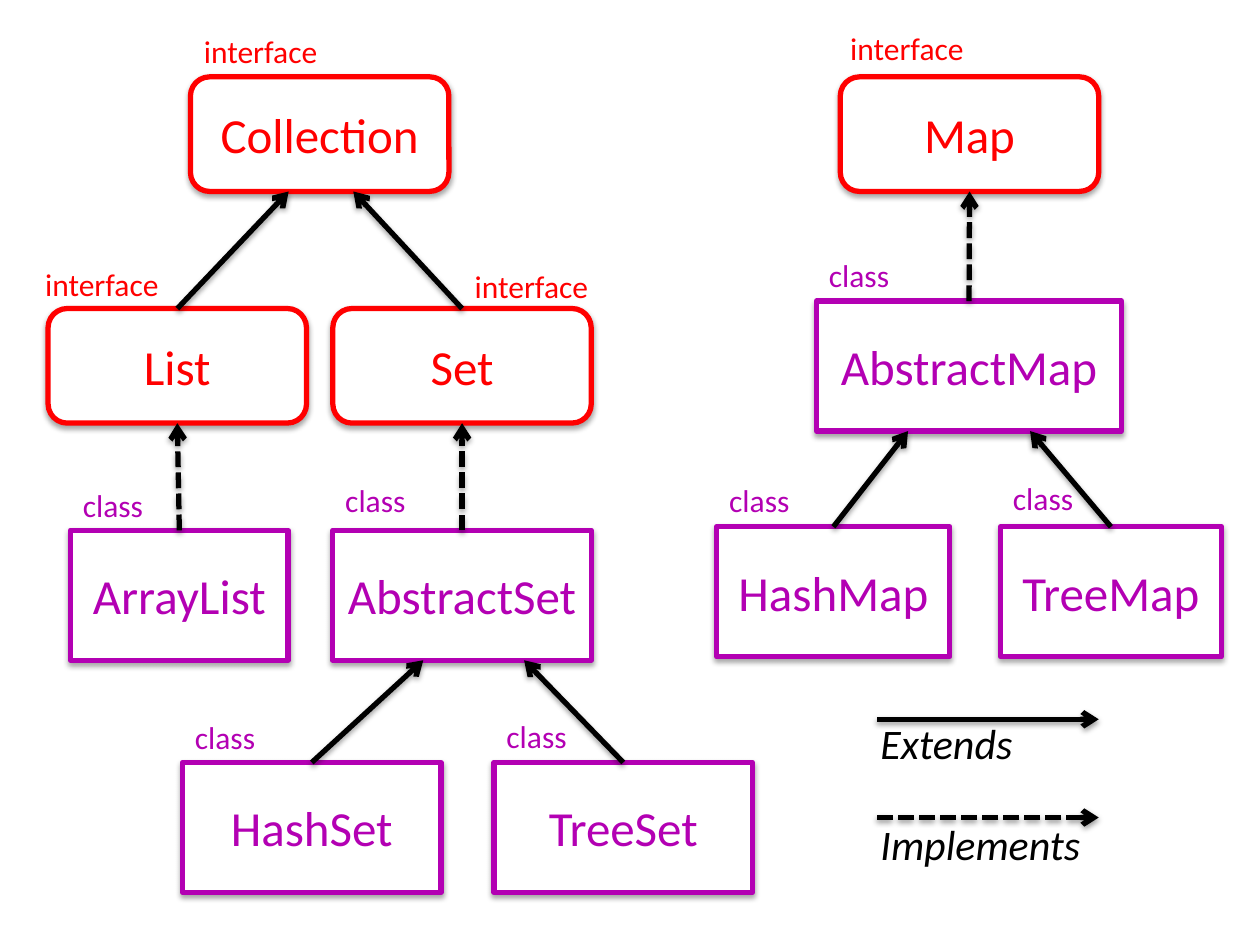
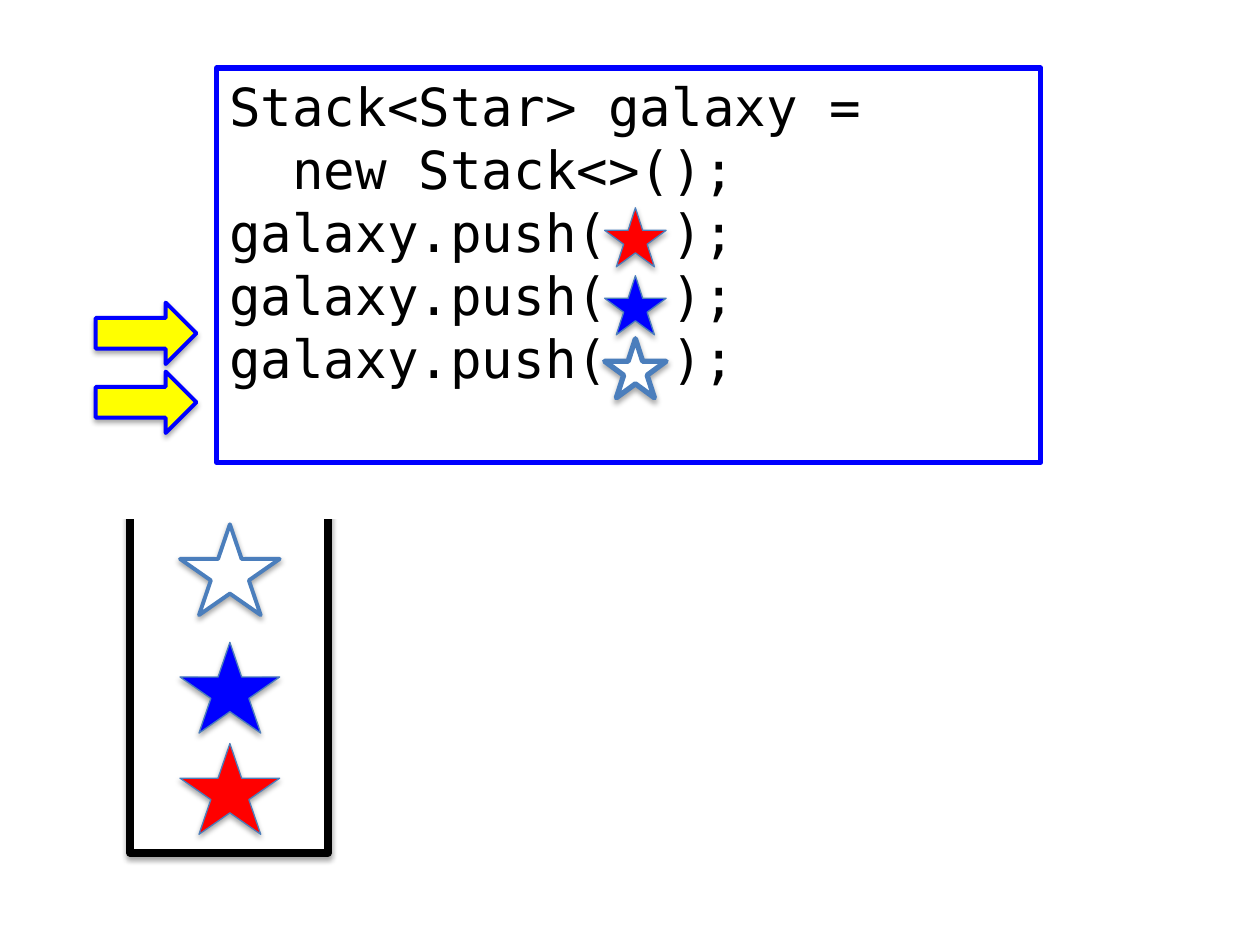
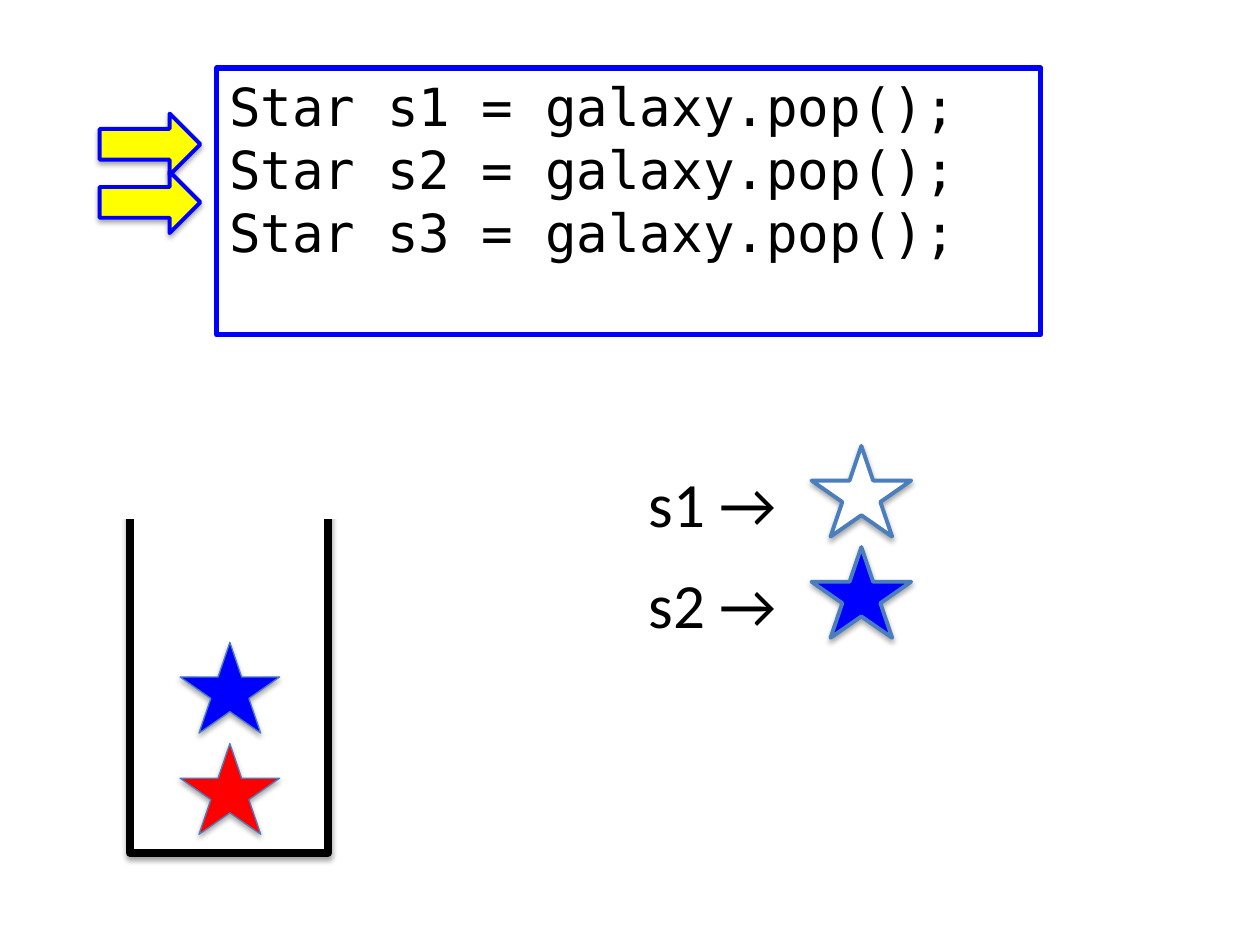
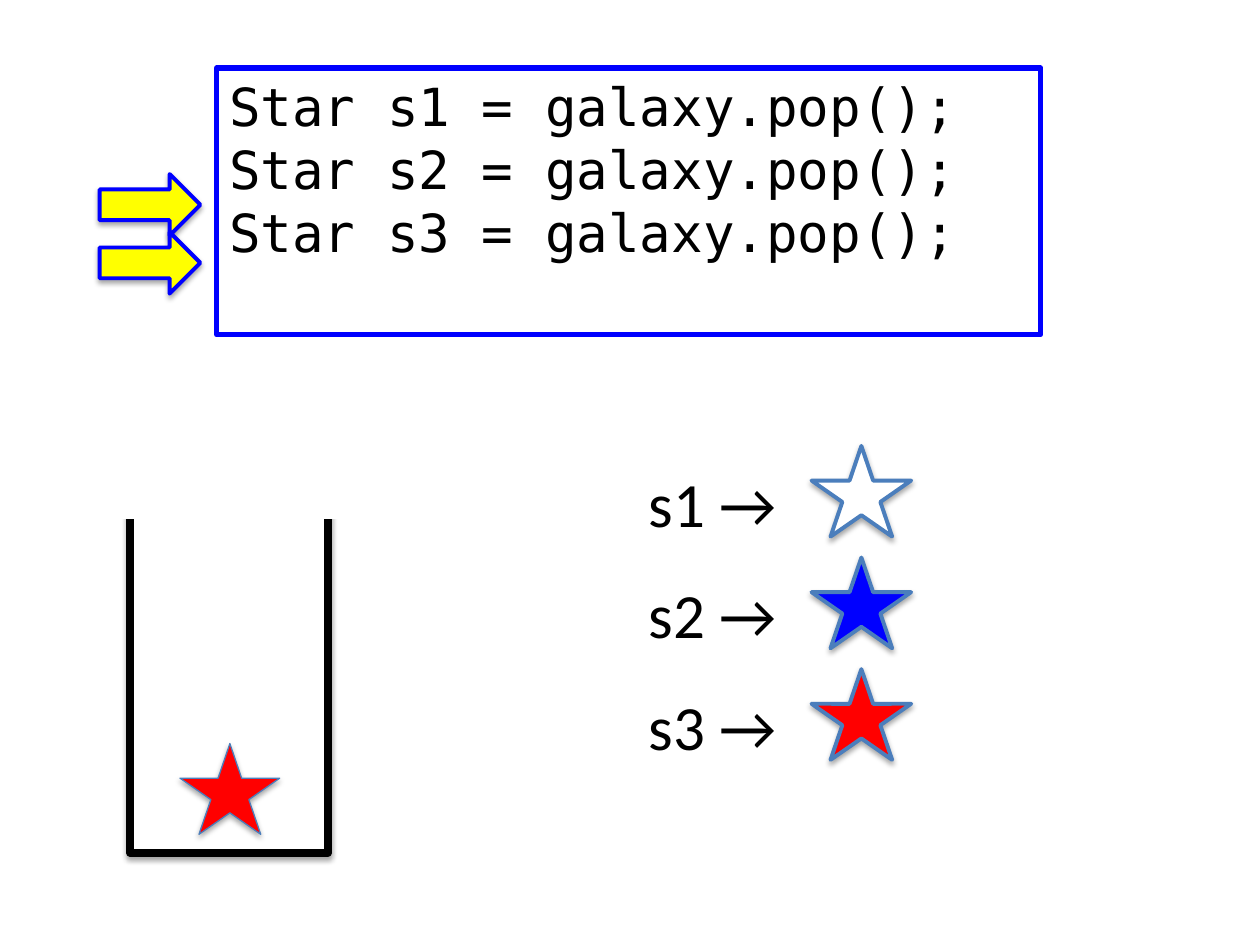
from dataclasses import dataclass

from lxml import etree
from pptx import Presentation
from pptx.dml.color import RGBColor
from pptx.enum.dml import MSO_LINE
from pptx.enum.shapes import MSO_CONNECTOR, MSO_SHAPE
from pptx.enum.text import MSO_ANCHOR, MSO_AUTO_SIZE, PP_ALIGN
from pptx.oxml.ns import qn
from pptx.util import Cm, Pt

# Shared look
COLOURS = {
    "white": "FFFFFF",
    "black": "000000",
    "red": "FF0000",
    "blue": "0000FF",
    "yellow": "FFFF00",
    "purple": "B300B3",
    "star edge": "4B7EBC",
}
BODY_FONT, CODE_FONT = "Calibri", "DejaVu Sans Mono"
RECTANGLE, ROUNDED = MSO_SHAPE.RECTANGLE, MSO_SHAPE.ROUNDED_RECTANGLE
STAR, ARROW = MSO_SHAPE.STAR_5_POINT, MSO_SHAPE.RIGHT_ARROW
STRAIGHT, DASHED = MSO_CONNECTOR.STRAIGHT, MSO_LINE.SQUARE_DOT
LEFT, CENTRE = PP_ALIGN.LEFT, PP_ALIGN.CENTER
TOP, MIDDLE = MSO_ANCHOR.TOP, MSO_ANCHOR.MIDDLE
FIXED, GROW = MSO_AUTO_SIZE.NONE, MSO_AUTO_SIZE.SHAPE_TO_FIT_TEXT


@dataclass(frozen=True)
class Frame:
    """Place and size in centimetres."""
    left: float
    top: float
    width: float
    height: float

    def lengths(self) -> tuple:
        return Cm(self.left), Cm(self.top), Cm(self.width), Cm(self.height)


@dataclass(frozen=True)
class TypeNode:
    """A Java type; its kind label stands above the box."""
    name: str
    kind: str
    left: float
    top: float
    label_top: float
    width: float = 5.21
    label_shift: float = 0

    @property
    def frame(self) -> Frame:
        return Frame(self.left, self.top, self.width, KINDS[self.kind].height)


@dataclass(frozen=True)
class Kind:
    geometry: MSO_SHAPE
    colour: str
    height: float
    label_width: float


@dataclass(frozen=True)
class Link:
    """Arrow from child to parent; reach is the share of the parent's width."""
    child: str
    parent: str
    reach: float = 0.5


KINDS = {
    "interface": Kind(ROUNDED, "red", 2.31, 2.84),
    "class": Kind(RECTANGLE, "purple", 2.62, 1.75),
}
NODES = [
    TypeNode("Collection", "interface", 3.84, 1.55, 0.53, label_shift=0.02),
    TypeNode("Map", "interface", 16.94, 1.55, 0.46, label_shift=-0.05),
    TypeNode("HashSet", "class", 3.68, 15.37, 14.35),
    TypeNode("TreeSet", "class", 9.96, 15.37, 14.33),
    TypeNode("List", "interface", 0.97, 6.22, 5.21, label_shift=-0.31),
    TypeNode("Set", "interface", 6.71, 6.22, 5.26, label_shift=2.61),
    TypeNode("AbstractMap", "class", 16.46, 6.07, 5.03, width=6.15),
    TypeNode("ArrayList", "class", 1.42, 10.69, 9.68, width=4.39),
    TypeNode("AbstractSet", "class", 6.71, 10.69, 9.58),
    TypeNode("HashMap", "class", 14.45, 10.62, 9.58, width=4.7),
    TypeNode("TreeMap", "class", 20.17, 10.62, 9.53, width=4.45),
]
LINKS = [
    Link("List", "Collection", 0.38),
    Link("Set", "Collection", 0.63),
    Link("AbstractMap", "Map"),
    Link("AbstractSet", "Set"),
    Link("ArrayList", "List"),
    Link("HashMap", "AbstractMap", 0.3),
    Link("TreeMap", "AbstractMap", 0.7),
    Link("TreeSet", "AbstractSet", 0.74),
    Link("HashSet", "AbstractSet", 0.35),
]

# Stars in the order in which they are pushed, with their places
STACK_TOPS = {"red": 14.99, "blue": 12.95, "white": 10.57}
PUSHED_TOPS = {"red": 4.19, "blue": 5.56, "white": 6.83}
POP_ORDER = ["white", "blue", "red"]
PUSH_CODE = ["Stack<Star> galaxy =", "  new Stack<>();"] + ["galaxy.push(  );"] * 3
POP_CODE = [f"Star s{number} = galaxy.pop();" for number in (1, 2, 3)]


def rgb(name: str) -> RGBColor:
    return RGBColor.from_string(COLOURS[name])


def cast_shadow(element, *, opacity: int, distance: int) -> None:
    """Put a soft shadow straight below a shape or connector."""
    properties = element.spPr
    effects = properties.find(qn("a:effectLst"))
    if effects is None:
        effects = etree.SubElement(properties, qn("a:effectLst"))
    shadow = etree.SubElement(effects, qn("a:outerShdw"), blurRad="40000",
                              dist=str(distance), dir="5400000", rotWithShape="0")
    tint = etree.SubElement(shadow, qn("a:srgbClr"), val=COLOURS["black"])
    etree.SubElement(tint, qn("a:alpha"), val=str(opacity * 1000))


def write(box, lines: list[str], *, size: float, colour: str = "black",
          font: str = BODY_FONT, italic: bool = False, align=LEFT, anchor=TOP,
          wrap: bool = True, fit=FIXED, gap: float = 0) -> None:
    frame = box.text_frame
    frame.word_wrap, frame.auto_size, frame.vertical_anchor = wrap, fit, anchor
    for index, line in enumerate(lines):
        para = frame.add_paragraph() if index else frame.paragraphs[0]
        para.alignment = align
        if index and gap:
            para.space_before = Pt(gap)
        span = para.add_run()
        span.text = line
        span.font.name, span.font.size = font, Pt(size)
        span.font.italic = italic
        span.font.color.rgb = rgb(colour)


def add_label(shapes, frame: Frame, lines: list[str], **style) -> None:
    box = shapes.add_textbox(*frame.lengths())
    write(box, lines, wrap=False, fit=GROW, **style)


def draw_shape(shapes, geometry, frame: Frame, *, fill: str = "", line: str = "",
               weight: float = 0, shadow: bool = True):
    shape = shapes.add_shape(geometry, *frame.lengths())
    if fill:
        shape.fill.solid()
        shape.fill.fore_color.rgb = rgb(fill)
    else:
        shape.fill.background()
    if line:
        shape.line.color.rgb = rgb(line)
        shape.line.width = Pt(weight)
    else:
        shape.line.fill.background()
    shape.shadow.inherit = False
    if shadow:
        cast_shadow(shape.element, opacity=35, distance=23000)
    return shape


def draw_arrow(shapes, start: tuple, end: tuple, *, dashed: bool) -> None:
    arrow = shapes.add_connector(STRAIGHT, *map(Cm, start + end))
    arrow.line.color.rgb = rgb("black")
    arrow.line.width = Pt(3)
    if dashed:
        arrow.line.dash_style = DASHED
    etree.SubElement(arrow.line._get_or_add_ln(), qn("a:tailEnd"), type="arrow")
    cast_shadow(arrow.element, opacity=38, distance=20000)


def draw_star(shapes, frame: Frame, colour: str, weight: float) -> None:
    draw_shape(shapes, STAR, frame, fill=colour, line="star edge", weight=weight)


# Type hierarchy
def draw_hierarchy(page) -> None:
    shapes = page.shapes
    for node in NODES:
        kind = KINDS[node.kind]
        box = draw_shape(shapes, kind.geometry, node.frame,
                         fill="white", line=kind.colour, weight=3)
        write(box, [node.name], size=28, colour=kind.colour,
              align=CENTRE, anchor=MIDDLE)

    by_name = {node.name: node for node in NODES}
    for link in LINKS:
        child, parent = by_name[link.child], by_name[link.parent]
        start = (child.left + child.width / 2, child.top)
        end = (parent.left + parent.width * link.reach,
               parent.top + parent.frame.height)
        draw_arrow(shapes, start, end, dashed=child.kind != parent.kind)

    # Legend
    for top, dashed in ((14.5, False), (16.48, True)):
        draw_arrow(shapes, (17.68, top), (22.15, top), dashed=dashed)
    add_label(shapes, Frame(17.5, 14.33, 4.8, 3.33), ["Extends", "Implements"],
              size=24, italic=True, gap=29)

    for node in NODES:
        kind = KINDS[node.kind]
        place = Frame(node.left + node.label_shift, node.label_top,
                      kind.label_width, 1.02)
        add_label(shapes, place, [node.kind], size=18, colour=kind.colour)


# Stack slides
def draw_stack(page, code: list[str], *, code_height: float, stars: list[str],
               cursor_left: float, cursor_tops: tuple) -> None:
    # Container whose top edge is covered, so that it looks open
    container = page.shapes.add_group_shape().shapes
    draw_shape(container, RECTANGLE, Frame(2.62, 10.13, 3.99, 7.06),
               fill="white", line="black", weight=4.5)
    draw_shape(container, RECTANGLE, Frame(0.58, 8.81, 7.57, 1.65),
               fill="white", shadow=False)

    code_box = draw_shape(page.shapes, RECTANGLE,
                          Frame(4.37, 1.37, 16.61, code_height),
                          line="blue", weight=3, shadow=False)
    write(code_box, code, size=30, font=CODE_FONT)

    for colour in stars:
        draw_star(page.shapes, Frame(3.63, STACK_TOPS[colour], 2.01, 1.83),
                  colour, 2.25 if colour == "white" else 0.75)
    for top in cursor_tops:
        draw_shape(page.shapes, ARROW, Frame(cursor_left, top, 2.03, 1.24),
                   fill="yellow", line="blue", weight=2.25)


def draw_push(page) -> None:
    draw_stack(page, PUSH_CODE, code_height=7.95, stars=list(STACK_TOPS),
               cursor_left=1.93, cursor_tops=(6.1, 7.49))
    for colour, top in PUSHED_TOPS.items():
        draw_star(page.shapes, Frame(12.19, top, 1.24, 1.19),
                  colour, 3 if colour == "white" else 0.75)


def draw_pop(page, *, popped: int, stars: list[str], cursor_top: float,
             pitch: float) -> None:
    draw_stack(page, POP_CODE, code_height=5.38, stars=stars,
               cursor_left=2.01, cursor_tops=(cursor_top, cursor_top + 1.17))
    for index, colour in enumerate(POP_ORDER[:popped]):
        top = 8.99 + index * pitch
        variable = page.shapes.add_group_shape().shapes
        add_label(variable, Frame(12.83, top + 0.24, 3.2, 1.8),
                  [f"s{index + 1} →"], size=36)
        draw_star(variable, Frame(16.36, top, 2.01, 1.83), colour, 2.25)


def main() -> None:
    deck = Presentation()
    deck.slide_width, deck.slide_height = Cm(25.4), Cm(19.05)
    blank = deck.slide_layouts[6]

    draw_hierarchy(deck.slides.add_slide(blank))
    draw_push(deck.slides.add_slide(blank))
    draw_pop(deck.slides.add_slide(blank), popped=2, stars=["red", "blue"],
             cursor_top=2.29, pitch=2.04)
    draw_pop(deck.slides.add_slide(blank), popped=3, stars=["red"],
             cursor_top=3.51, pitch=2.25)
    deck.save("out.pptx")


if __name__ == "__main__":
    main()
